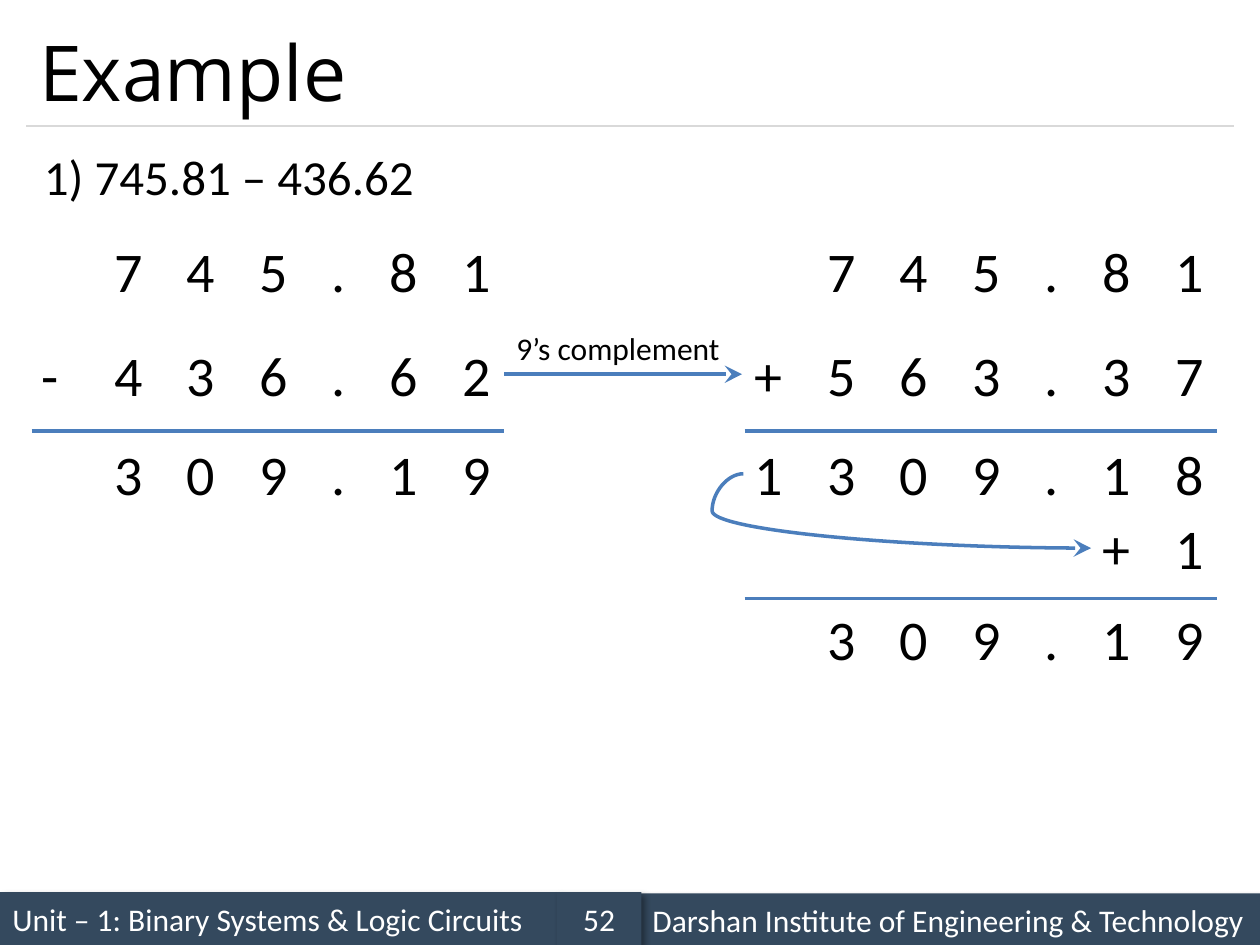
from lxml.etree import SubElement
from pptx import Presentation
from pptx.dml.color import RGBColor
from pptx.enum.shapes import MSO_CONNECTOR, MSO_SHAPE
from pptx.enum.text import MSO_ANCHOR, MSO_AUTO_SIZE, PP_ALIGN
from pptx.oxml import parse_xml
from pptx.oxml.ns import nsdecls, qn
from pptx.util import Inches, Pt

BLACK = RGBColor(0x00, 0x00, 0x00)
WHITE = RGBColor(0xFF, 0xFF, 0xFF)
NAVY = RGBColor(0x34, 0x49, 0x5E)
GRAY = RGBColor(0xD9, 0xD9, 0xD9)
BLUE = RGBColor(0x4B, 0x7E, 0xBC)

SHADOW = (
    f'<a:effectLst {nsdecls("a")}>'
    '<a:outerShdw blurRad="50800" dist="38100" dir="2700000" algn="tl" rotWithShape="0">'
    '<a:srgbClr val="000000"><a:alpha val="40000"/></a:srgbClr>'
    '</a:outerShdw></a:effectLst>'
)

deck = Presentation()
deck.slide_width = Inches(10)
deck.slide_height = Inches(7.5)
slide = deck.slides.add_slide(deck.slide_layouts[5])
shapes = slide.shapes


def add_text(text, left, top, width, height, size):
    box = shapes.add_textbox(Inches(left), Inches(top), Inches(width), Inches(height))
    frame = box.text_frame
    frame.word_wrap = False
    frame.auto_size = MSO_AUTO_SIZE.SHAPE_TO_FIT_TEXT
    run = frame.paragraphs[0].add_run()
    run.text = text
    run.font.name = "Calibri"
    run.font.size = Pt(size)
    run.font.color.rgb = BLACK


def add_line(x1, y1, x2, y2, color=BLUE, width=2, kind=MSO_CONNECTOR.STRAIGHT, arrow=False):
    line = shapes.add_connector(kind, Inches(x1), Inches(y1), Inches(x2), Inches(y2))
    line.line.color.rgb = color
    line.line.width = Pt(width)
    if arrow:
        SubElement(line.line._get_or_add_ln(), qn("a:tailEnd"), type="stealth", w="lg", len="lg")
    SubElement(line._element.spPr, qn("a:effectLst"))
    return line


# Title
title = shapes.title
title.left, title.top = Inches(0.21), Inches(0.12)
title.width, title.height = Inches(9.58), Inches(0.88)
frame = title.text_frame
frame.vertical_anchor = MSO_ANCHOR.MIDDLE
para = frame.paragraphs[0]
para.alignment = PP_ALIGN.LEFT
run = para.add_run()
run.text = "Example"
run.font.name = "Open Sans"
run.font.size = Pt(44)
run.font.color.rgb = BLACK
add_line(0.21, 1, 9.79, 1, GRAY, 0.75)

# Footer
footer = [
    ("Unit – 1: Binary Systems & Logic Circuits", 0, 7.08, 4.42, PP_ALIGN.LEFT),
    ("Darshan Institute of Engineering & Technology", 5.08, 7.09, 4.92, PP_ALIGN.LEFT),
    ("52", 4.42, 7.08, 0.67, PP_ALIGN.CENTER),
]
for text, left, top, width, align in footer:
    bar = shapes.add_shape(
        MSO_SHAPE.RECTANGLE, Inches(left), Inches(top), Inches(width), Inches(0.42)
    )
    bar.fill.solid()
    bar.fill.fore_color.rgb = NAVY
    bar.line.fill.background()
    bar._element.spPr.append(parse_xml(SHADOW))
    frame = bar.text_frame
    frame.word_wrap = True
    frame.vertical_anchor = MSO_ANCHOR.MIDDLE
    para = frame.paragraphs[0]
    para.alignment = align
    run = para.add_run()
    run.text = text
    run.font.name = "Calibri"
    run.font.size = Pt(18)
    run.font.color.rgb = WHITE

# Sums: one character per column, a space leaves the column empty
add_text("1) 745.81 – 436.62", 0.25, 1.11, 3.18, 0.57, 28)
COLUMNS = [0, 0.58, 1.15, 1.73, 2.3, 2.76, 3.34]
WIDTHS = {".": 0.32, "-": 0.34}
sums = [
    (0.23, [(1.83, " 745.81"), (2.65, "-436.62"), (3.44, " 309.19")]),
    (5.89, [(1.83, " 745.81"), (2.65, "+563.37"), (3.44, "1309.18"),
            (4.03, "     +1"), (4.75, " 309.19")]),
]
for left, rows in sums:
    for top, row in rows:
        for shift, char in zip(COLUMNS, row):
            if char != " ":
                add_text(char, left + shift, top, WIDTHS.get(char, 0.43), 0.64, 32)

# Rules under the sums
for left, top in [(0.25, 3.42), (5.91, 3.42), (5.91, 4.75)]:
    add_line(left, top, left + 3.75, top)

# Complement step and end-around carry
add_text("9’s complement", 4, 2.56, 1.83, 0.4, 18)
add_line(4, 2.97, 5.89, 2.97, arrow=True)
carry = add_line(5.9, 3.76, 8.66, 4.35, kind=MSO_CONNECTOR.CURVE, arrow=True)
guides = carry._element.spPr.find(qn("a:prstGeom")).get_or_add_avLst()
SubElement(guides, qn("a:gd"), name="adj1", fmla="val -9000")

deck.save("out.pptx")
